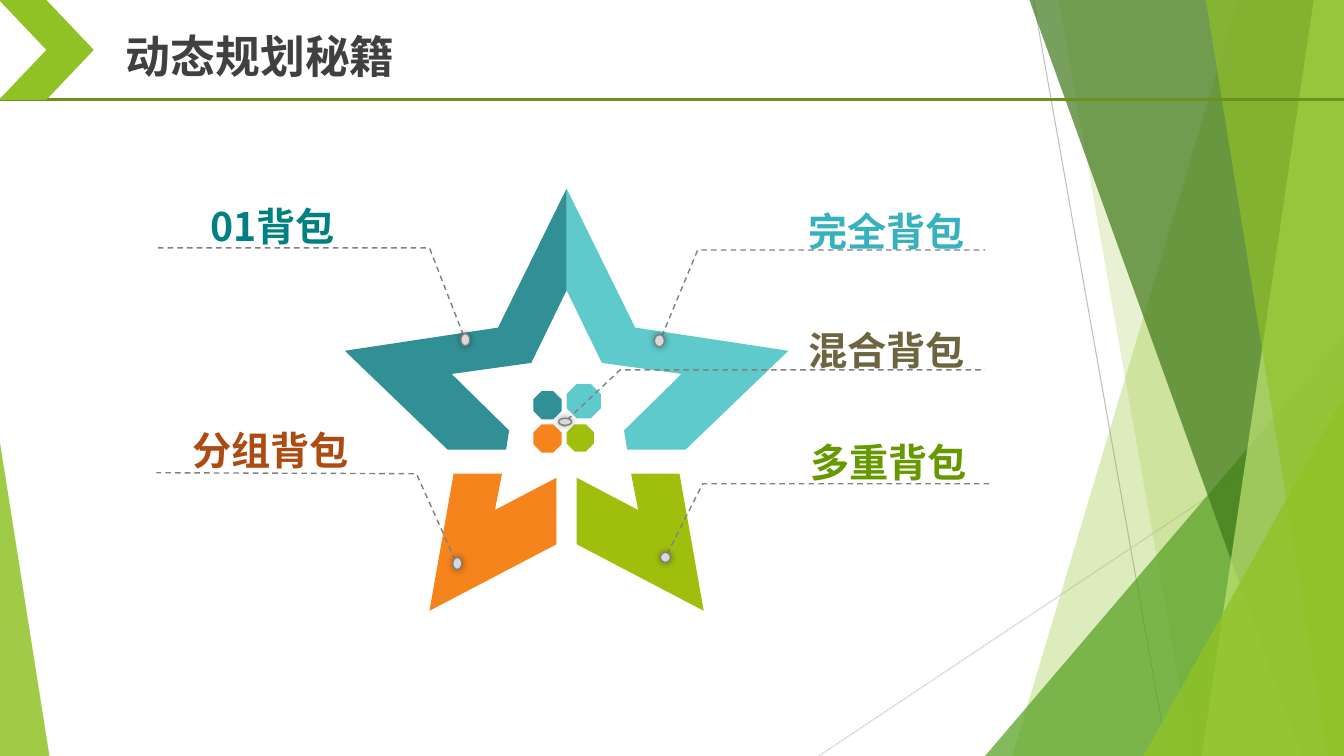
from dataclasses import dataclass

from lxml import etree
from pptx import Presentation
from pptx.dml.color import RGBColor
from pptx.enum.dml import MSO_LINE
from pptx.enum.shapes import MSO_CONNECTOR, MSO_SHAPE
from pptx.enum.text import MSO_AUTO_SIZE, PP_ALIGN
from pptx.oxml.ns import qn
from pptx.util import Pt

PX = 9144  # 100 px to the inch
WIDE, HIGH = 1333, 750
AXIS = 562  # middle of the star

STRAIGHT = MSO_CONNECTOR.STRAIGHT
TRIANGLE = MSO_SHAPE.ISOSCELES_TRIANGLE
CHEVRON = MSO_SHAPE.CHEVRON
OCTAGON = MSO_SHAPE.OCTAGON
OVAL = MSO_SHAPE.OVAL
DASH = MSO_LINE.DASH
JUSTIFY = PP_ALIGN.JUSTIFY
GROW = MSO_AUTO_SIZE.SHAPE_TO_FIT_TEXT


@dataclass(frozen=True)
class Theme:
    font: str = "Noto Sans CJK SC"
    title: int = 32
    label: int = 28
    ink: str = "404040"
    lime: str = "90C226"
    pale: str = "C0E474"
    green: str = "54A021"
    forest: str = "3F7819"
    rule: str = "6C921D"
    teal: str = "319095"
    aqua: str = "5FCACB"
    orange: str = "F5841C"
    olive: str = "A0BF0D"
    grey: str = "808080"
    silver: str = "D9D9D9"
    ash: str = "BFBFBF"


class Board:
    def __init__(self, slide, theme):
        self.shapes = slide.shapes
        self.theme = theme

    def paint(self, shape, color, alpha=100):
        shape.shadow.inherit = False
        shape.fill.solid()
        shape.fill.fore_color.rgb = RGBColor.from_string(color)
        shape.line.fill.background()
        if alpha < 100:
            tint = shape._element.spPr.find(qn("a:solidFill"))[0]
            etree.SubElement(tint, qn("a:alpha"), val=str(alpha * 1000))

    def stroke(self, line, color, width):
        line.color.rgb = RGBColor.from_string(color)
        line.width = Pt(width)

    def line(self, start, end, color, width):
        ends = [n * PX for n in (*start, *end)]
        link = self.shapes.add_connector(STRAIGHT, *ends)
        self.stroke(link.line, color, width)
        etree.SubElement(link._element.spPr, qn("a:effectLst"))

    def shape(self, kind, box, color, alpha=100, adjust=None):
        shape = self.shapes.add_shape(kind, *[n * PX for n in box])
        if adjust is not None:
            shape.adjustments[0] = adjust
        self.paint(shape, color, alpha)
        return shape

    def outline(self, points, close):
        pen = self.shapes.build_freeform(*points[0], scale=PX)
        pen.add_line_segments(points[1:], close=close)
        return pen.convert_to_shape()

    def area(self, points, color, alpha=100):
        self.paint(self.outline(points, True), color, alpha)

    def pair(self, points, right, left):
        """Draw an area and its mirror image across the star's axis."""
        self.area(points, right)
        self.area([(2 * AXIS - x, y) for x, y in points], left)

    def leader(self, points):
        path = self.outline(points, False)
        path.shadow.inherit = False
        path.fill.background()
        self.stroke(path.line, self.theme.grey, 1)
        path.line.dash_style = DASH
        etree.SubElement(path._element.spPr.find(qn("a:ln")),
                         qn("a:headEnd"), type="oval")

    def dot(self, box):
        dot = self.shape(OVAL, box, self.theme.silver)
        self.stroke(dot.line, self.theme.grey, 1)
        glow = etree.SubElement(dot._element.spPr.find(qn("a:effectLst")),
                                qn("a:outerShdw"), blurRad=str(Pt(5)), dist="0")
        black = etree.SubElement(glow, qn("a:srgbClr"), val="000000")
        etree.SubElement(black, qn("a:alpha"), val="40000")

    def text(self, words, box, color, size):
        frame = self.shapes.add_textbox(*[n * PX for n in box]).text_frame
        frame.word_wrap = True
        frame.auto_size = GROW
        frame.text = words
        para = frame.paragraphs[0]
        font = para.runs[0].font
        font.name, font.size, font.bold = self.theme.font, Pt(size), True
        font.color.rgb = RGBColor.from_string(color)
        etree.SubElement(font._element, qn("a:ea"), typeface=self.theme.font)
        return para

    def label(self, words, box, color):
        para = self.text(words, box, color, self.theme.label)
        para.alignment = JUSTIFY
        para.line_spacing = 1.5


def backdrop(board):
    t = board.theme

    def band(top, foot, color, alpha):
        board.area([(top, 0), (WIDE, 0), (WIDE, HIGH), (foot, HIGH)], color, alpha)

    def wedge(x, y, width, color, alpha, tip):
        board.shape(TRIANGLE, (x, y, width, HIGH - y), color, alpha, tip)

    board.line((1025, 0), (1158, HIGH), t.ash, 0.75)
    board.line((WIDE, 403), (812, HIGH), t.silver, 0.75)
    band(1228, 1004, t.lime, 30)
    band(1050, 1182, t.lime, 20)
    wedge(977, 333, 356, t.green, 72, 1)
    band(1021, 1291, t.forest, 70)
    band(1303, 1192, t.pale, 70)
    band(1196, 1317, t.lime, 65)
    wedge(1134, 393, 199, t.lime, 80, 1)
    wedge(0, 439, 49, t.lime, 85, 0)


def header(board):
    t = board.theme
    board.line((0, 99), (WIDE, 99), t.rule, 2.25)
    board.shape(CHEVRON, (-1, 0, 94, 99), t.lime)
    board.text("动态规划秘籍", (115, 24, 433, 64), t.ink, t.title)


def star(board):
    t = board.theme
    board.pair([(572, 474), (572, 540), (698, 606), (674, 470), (626, 470),
                (633, 506)], t.olive, t.orange)
    board.pair([(630, 325), (AXIS, 187), (AXIS, 288), (597, 360), (676, 371),
                (619, 427), (622, 446), (680, 446), (782, 348)], t.aqua, t.teal)
    for x, y, size, color in [(529, 388, 28, t.teal), (562, 381, 34, t.aqua),
                              (529, 421, 28, t.orange), (562, 421, 27, t.olive)]:
        board.shape(OCTAGON, (x, y, size, size), color)


def callouts(board):
    items = [
        ("完全背包", (792, 177, 200, 72), "38B1BF",
         [(655, 337), (692, 248), (977, 248)], (649, 332, 10, 12)),
        ("01背包", (199, 172, 251, 72), "008080",
         [(461, 336), (426, 246), (155, 246)], (457, 331, 9, 12)),
        ("混合背包", (792, 295, 251, 72), "6D6540",
         [(560, 419), (615, 367), (977, 367)], (554, 415, 13, 7)),
        ("分组背包", (181, 395, 251, 81), "AD4C12",
         [(453, 559), (413, 470), (155, 469)], (449, 553, 9, 12)),
        ("多重背包", (794, 407, 251, 81), "669900",
         [(660, 553), (697, 480), (982, 480)], (655, 548, 10, 10)),
    ]
    for words, box, color, route, spot in items:
        board.label(words, box, color)
        board.leader(route)
        board.dot(spot)


def main():
    deck = Presentation()
    deck.slide_width, deck.slide_height = WIDE * PX, HIGH * PX
    board = Board(deck.slides.add_slide(deck.slide_layouts[6]), Theme())
    backdrop(board)
    header(board)
    star(board)
    callouts(board)
    deck.save("out.pptx")


if __name__ == "__main__":
    main()
